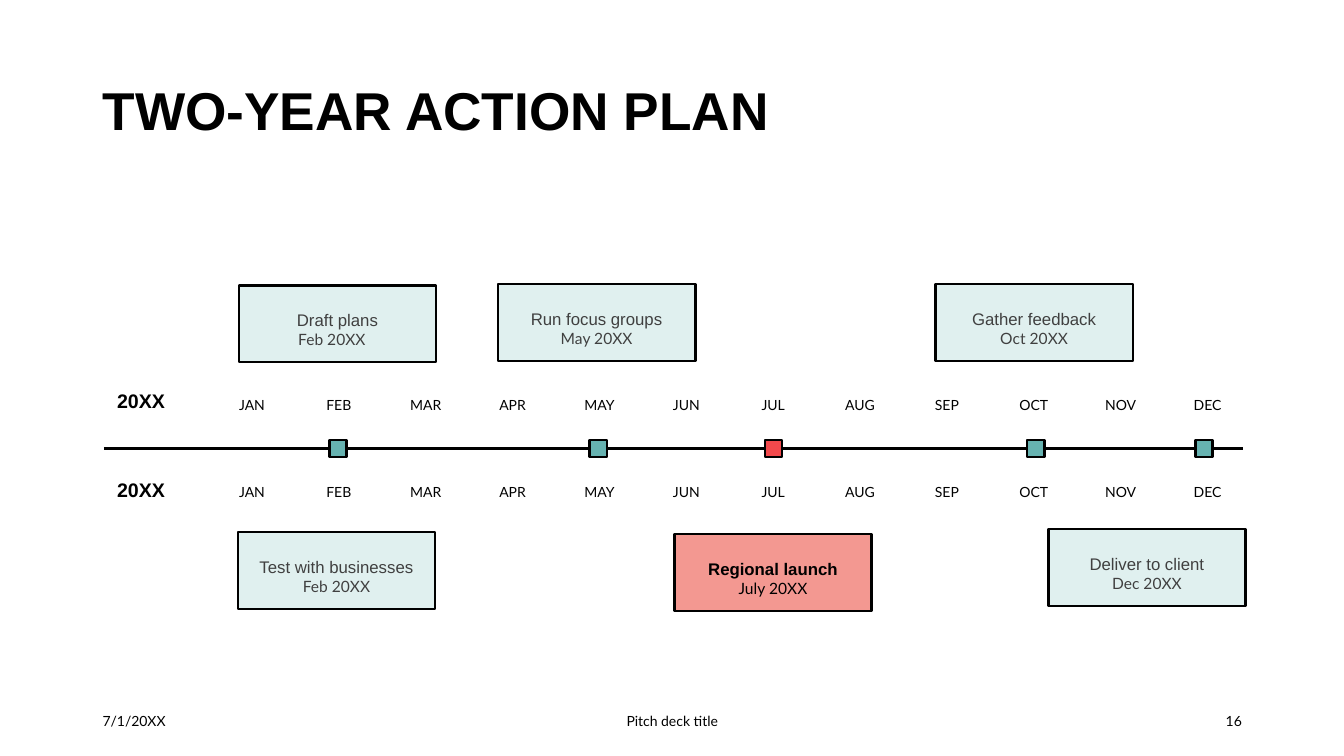
"""Build the two-year action plan timeline slide."""
import pptx
import pptx.dml.color
import pptx.enum.shapes
import pptx.enum.text
import pptx.oxml
import pptx.util

Pt = pptx.util.Pt
RGB = pptx.dml.color.RGBColor
ALIGN = pptx.enum.text.PP_ALIGN
ANCHOR = pptx.enum.text.MSO_ANCHOR
RECTANGLE = pptx.enum.shapes.MSO_SHAPE.RECTANGLE

BLACK = RGB(0x00, 0x00, 0x00)
GRAY = RGB(0x40, 0x40, 0x40)
PALE_TEAL = RGB(0xE0, 0xF0, 0xEF)
TEAL = RGB(0x66, 0xB2, 0xB0)
SALMON = RGB(0xF3, 0x98, 0x91)
RED = RGB(0xF2, 0x49, 0x4C)

TITLE = "TWO-YEAR ACTION PLAN"
MONTHS = ["JAN", "FEB", "MAR", "APR", "MAY", "JUN",
          "JUL", "AUG", "SEP", "OCT", "NOV", "DEC"]
# Year label, its top, top of its month row
YEARS = [("20XX", 269.3, 280.8), ("20XX", 332.6, 343.4)]
# Milestone, date, left, top, date inset from card, is launch
MILESTONES = [
    ("Draft plans", "Feb 20XX", 170.6, 203.8, 0, False),
    ("Run focus groups", "May 20XX", 355.7, 203, 4, False),
    ("Gather feedback", "Oct 20XX", 668.2, 203, 4, False),
    ("Test with businesses", "Feb 20XX", 169.9, 380.2, 4, False),
    ("Regional launch", "July 20XX", 481.7, 381.6, 4, True),
    ("Deliver to client", "Dec 20XX", 748.8, 378, 4, False),
]
MARKERS = [(235.4, TEAL), (421.2, TEAL), (546.5, RED), (733.7, TEAL), (853.9, TEAL)]
FOOTER = [
    ("7/1/20XX", 66.2, 216, ALIGN.LEFT),
    ("Pitch deck title", 318.2, 324, ALIGN.CENTER),
    ("16", 678.2, 216, ALIGN.RIGHT),
]

CARD_WIDTH, CARD_HEIGHT = 141, 55
DATE_WIDTH, DATE_HEIGHT, DATE_DROP = 133, 18, 32
FIRST_MONTH, MONTH_STEP = 154.8, 62.05
AXIS_LEFT, AXIS_RIGHT, AXIS_Y = 74.2, 887.8, 320.4
MARKER_SIZE = 12.3


def write(frame, text, size, font, color, bold=False, align=ALIGN.CENTER,
          spacing=0.9, anchor=ANCHOR.TOP):
    frame.word_wrap = True
    frame.vertical_anchor = anchor
    paragraph = frame.paragraphs[0]
    paragraph.alignment = align
    paragraph.line_spacing = spacing
    run = paragraph.add_run()
    run.text = text
    run.font.size = Pt(size)
    run.font.name = font
    run.font.bold = bold
    run.font.color.rgb = color


def add_label(slide, box, *args, **style):
    label = slide.shapes.add_textbox(*map(Pt, box))
    write(label.text_frame, *args, **style)


def add_square(slide, left, top, width, height, fill):
    square = slide.shapes.add_shape(RECTANGLE, Pt(left), Pt(top), Pt(width), Pt(height))
    square.shadow.inherit = False
    square.fill.solid()
    square.fill.fore_color.rgb = fill
    square.line.color.rgb = BLACK
    square.line.width = Pt(1.75)
    return square


def add_axis(slide):
    axis = slide.shapes.add_connector(
        pptx.enum.shapes.MSO_CONNECTOR.STRAIGHT,
        Pt(AXIS_LEFT), Pt(AXIS_Y), Pt(AXIS_RIGHT), Pt(AXIS_Y))
    axis.line.color.rgb = BLACK
    axis.line.width = Pt(2)
    properties = axis.line._get_or_add_ln().getparent()
    properties.append(pptx.oxml.parse_xml(
        '<a:effectLst xmlns:a="http://schemas.openxmlformats.org/drawingml/2006/main"/>'))


def add_milestone(slide, name, date, left, top, inset, launch):
    color = BLACK if launch else GRAY
    card = add_square(slide, left, top, CARD_WIDTH, CARD_HEIGHT,
                      SALMON if launch else PALE_TEAL)
    card.text_frame.margin_top = Pt(3)
    write(card.text_frame, name, 12, "Arial", color, bold=launch, spacing=2.0)
    add_label(slide, (left + inset, top + DATE_DROP, DATE_WIDTH, DATE_HEIGHT),
              date, 11.1, "Lato", color, spacing=0.7)


def main():
    deck = pptx.Presentation()
    deck.slide_width, deck.slide_height = Pt(960), Pt(540)
    slide = deck.slides.add_slide(deck.slide_layouts[6])

    add_axis(slide)
    add_label(slide, (66.2, 28.8, 828, 104.4), TITLE, 38, "Arial", BLACK,
              bold=True, align=ALIGN.LEFT, anchor=ANCHOR.MIDDLE)
    for year, year_top, months_top in YEARS:
        add_label(slide, (72, year_top, 57.6, 36), year, 14, "Arial", BLACK,
                  bold=True, anchor=ANCHOR.MIDDLE)
        for index, month in enumerate(MONTHS):
            add_label(slide, (FIRST_MONTH + index * MONTH_STEP, months_top, 50.4, 21.6),
                      month, 10, "Lato", BLACK)
    for left, fill in MARKERS:
        add_square(slide, left, AXIS_Y - MARKER_SIZE / 2, MARKER_SIZE, MARKER_SIZE, fill)
    for milestone in MILESTONES:
        add_milestone(slide, *milestone)
    for text, left, width, align in FOOTER:
        add_label(slide, (left, 500.4, width, 28.8), text, 10, "Lato", BLACK,
                  align=align, spacing=1.0, anchor=ANCHOR.MIDDLE)

    deck.save("out.pptx")


if __name__ == "__main__":
    main()
